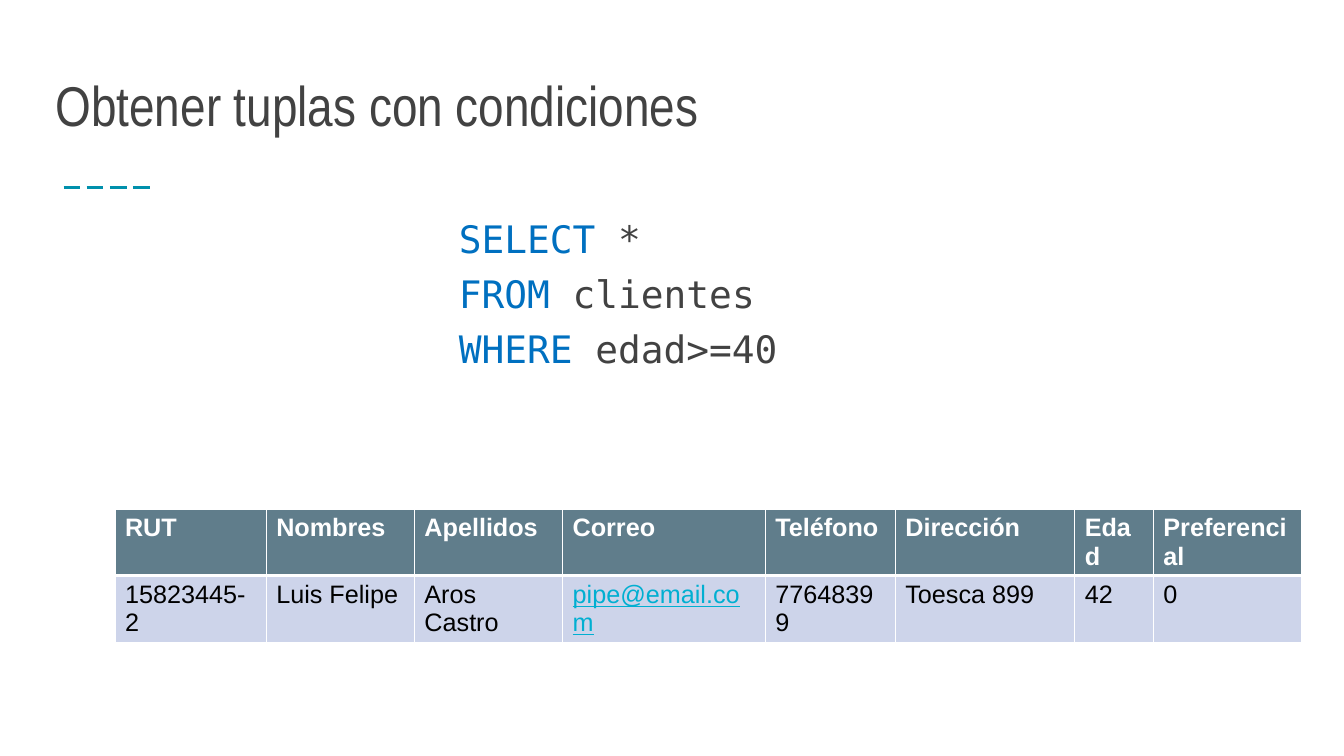
"""Build the slide on selecting tuples with conditions in SQL."""
from lxml import etree
from pptx import Presentation
from pptx.dml.color import RGBColor
from pptx.enum.dml import MSO_LINE
from pptx.enum.shapes import MSO_CONNECTOR
from pptx.enum.text import MSO_ANCHOR, MSO_AUTO_SIZE, PP_ALIGN
from pptx.oxml.ns import qn
from pptx.util import Inches, Pt

STRAIGHT = MSO_CONNECTOR.STRAIGHT
LONG_DASH = MSO_LINE.LONG_DASH
NO_FIT = MSO_AUTO_SIZE.NONE
TOP, MIDDLE = MSO_ANCHOR.TOP, MSO_ANCHOR.MIDDLE
LEFT = PP_ALIGN.LEFT

COLORS = {
    "text": "424242", "keyword": "0070C0", "accent": "0090AC",
    "header": "607D8B", "row": "CDD4EA", "link": "01AFD1",
    "white": "FFFFFF", "black": "000000",
}


def add_run(paragraph, text, font, size, color, bold=False):
    run = paragraph.add_run()
    run.text = text
    run.font.name = font
    run.font.size = Pt(size)
    run.font.bold = bold
    run.font.color.rgb = RGBColor.from_string(COLORS[color])
    return run


def add_borders(cell, widths):
    properties = cell._tc.get_or_add_tcPr()
    for side, width in widths.items():
        border = etree.SubElement(properties, qn(f"a:ln{side}"), w=str(Pt(width)))
        fill = etree.SubElement(border, qn("a:solidFill"))
        etree.SubElement(fill, qn("a:srgbClr"), val=COLORS["white"])


prs = Presentation()
prs.slide_width = Inches(13.33)
prs.slide_height = Inches(7.5)
slide = prs.slides.add_slide(prs.slide_layouts[1])

title, query = slide.placeholders
for placeholder, box, anchor in (
    (title, (0.45, 0.54, 12.42, 1.07), MIDDLE),
    (query, (4.45, 2.14, 8.43, 4.52), TOP),
):
    placeholder.left, placeholder.top, placeholder.width, placeholder.height = map(Inches, box)
    placeholder.text_frame.auto_size = NO_FIT
    placeholder.text_frame.vertical_anchor = anchor

heading = title.text_frame.paragraphs[0]
heading.alignment = LEFT
heading.line_spacing = 0.9
add_run(heading, "Obtener tuplas con condiciones", "Arial Narrow", 40, "text")

clauses = [("SELECT", " *"), ("FROM", " clientes"), ("WHERE", " edad>=40")]
for index, (keyword, rest) in enumerate(clauses):
    clause = query.text_frame.add_paragraph() if index else query.text_frame.paragraphs[0]
    paragraph_properties = clause._p.get_or_add_pPr()
    paragraph_properties.set("marL", "0")
    paragraph_properties.set("indent", "0")
    etree.SubElement(paragraph_properties, qn("a:buNone"))
    clause.line_spacing = 0.9
    clause.space_before = Pt(10 if index else 0)
    add_run(clause, keyword, "DejaVu Sans Mono", 27, "keyword")
    add_run(clause, rest, "DejaVu Sans Mono", 27, "text")

title_rule = slide.shapes.add_connector(
    STRAIGHT, Inches(0.63), Inches(1.86), Inches(1.52), Inches(1.86))
title_rule.line.color.rgb = RGBColor.from_string(COLORS["accent"])
title_rule.line.width = Pt(1.5)
title_rule.line.dash_style = LONG_DASH
etree.SubElement(title_rule._element.spPr, qn("a:effectLst"))

client_rows = [
    ("RUT", "Nombres", "Apellidos", "Correo",
     "Teléfono", "Dirección", "Edad", "Preferencial"),
    ("15823445-2", "Luis Felipe", "Aros Castro", "pipe@email.com",
     "77648399", "Toesca 899", "42", "0"),
]
column_widths = [1.5, 1.47, 1.47, 2.01, 1.29, 1.78, 0.78, 1.47]
row_height = 0.41
clients = slide.shapes.add_table(
    len(client_rows), len(column_widths), Inches(1.14), Inches(5.05),
    Inches(sum(column_widths)), Inches(row_height * len(client_rows))).table
clients.horz_banding = False
for column, width in zip(clients.columns, column_widths):
    column.width = Inches(width)

for row_index, values in enumerate(client_rows):
    is_header = row_index == 0
    for column_index, value in enumerate(values):
        cell = clients.cell(row_index, column_index)
        add_borders(cell, {"L": 1, "R": 1, "T": 1 if is_header else 3, "B": 3 if is_header else 1})
        cell.fill.solid()
        cell.fill.fore_color.rgb = RGBColor.from_string(COLORS["header" if is_header else "row"])
        is_email = "@" in value
        color = "white" if is_header else "link" if is_email else "black"
        entry = add_run(cell.text_frame.paragraphs[0], value, "Arial", 18, color, is_header)
        entry.font.underline = is_email

prs.save("out.pptx")
